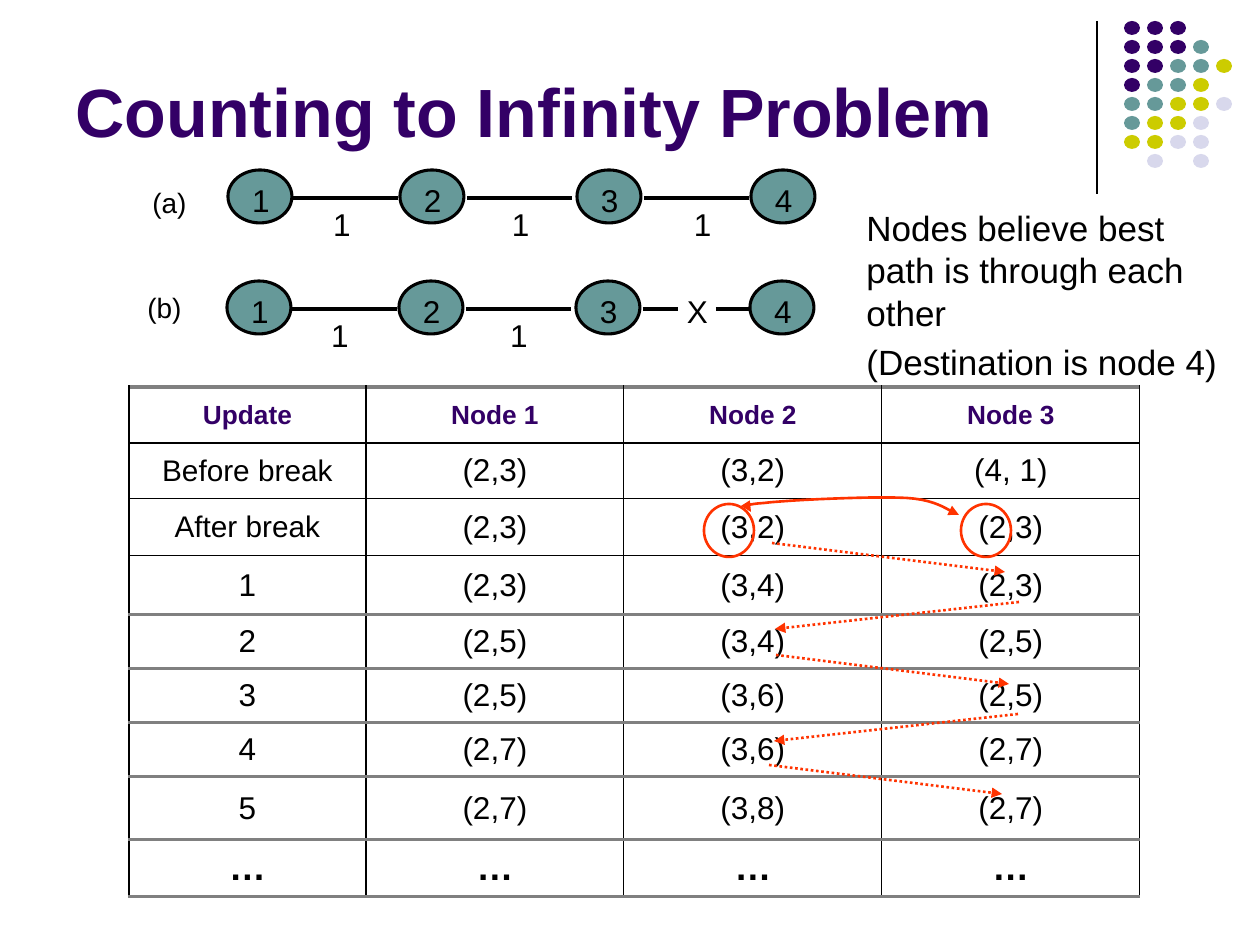
from dataclasses import dataclass
from itertools import chain
from typing import Optional

from lxml import etree
from pptx import Presentation
from pptx import util as u
from pptx.dml.color import RGBColor
from pptx.enum import dml, shapes, text
from pptx.oxml.ns import qn

SCALE = u.Inches(1) / 126
FONT = "Arial"
COLORS = {
    "ink": "000000", "purple": "330066", "teal": "669999", "olive": "CCCC00",
    "lilac": "D8D8EC", "grey": "808080", "red": "FF3300",
}
DOT_COLORS = {"P": "purple", "T": "teal", "Y": "olive", "L": "lilac"}
DOT_ROWS = ["PPP", "PPPT", "PPTTY", "PTTY", "TTYYL", "TYYL", "YYLL", " L L"]

HEADER = ["Update", "Node 1", "Node 2", "Node 3"]
UPDATES = [
    ["Before break", "(2,3)", "(3,2)", "(4, 1)"],
    ["After break", "(2,3)", "(3,2)", "(2,3)"],
    ["1", "(2,3)", "(3,4)", "(2,3)"],
    ["2", "(2,5)", "(3,4)", "(2,5)"],
    ["3", "(2,5)", "(3,6)", "(2,5)"],
    ["4", "(2,7)", "(3,6)", "(2,7)"],
    ["5", "(2,7)", "(3,8)", "(2,7)"],
    ["…"] * 4,
]
COLUMN_WIDTHS = [237, 258, 258, 258]
ROW_HEIGHTS = [56, 56, 57, 59, 54, 54, 54, 63, 55]
THIN, THICK = ("ink", 0.75), ("grey", 2)
ROW_RULES = [THICK] + [THIN] * 3 + [THICK] * 6


@dataclass
class Link:
    """A line between two nodes, from left to right."""
    left: int
    right: int


@dataclass
class Network:
    name: str
    name_at: tuple[int, int]
    left: int
    top: int
    links: list[Link]
    costs: list[int]
    break_at: Optional[int] = None


@dataclass
class Arrow:
    start: tuple[int, int]
    end: tuple[int, int]


NODE_OFFSETS = [0, 172, 349, 523]
NETWORKS = [
    Network("(a)", (140, 179), 228, 170,
            [Link(65, 170), Link(239, 344), Link(416, 521)], [105, 284, 466]),
    Network("(b)", (135, 284), 227, 281,
            [Link(65, 170), Link(239, 344), Link(416, 451), Link(489, 523)],
            [104, 283], 460),
]
ARROWS = [
    Arrow((772, 543), (1005, 572)), Arrow((1019, 602), (775, 629)),
    Arrow((776, 655), (1009, 684)), Arrow((1018, 714), (774, 741)),
    Arrow((769, 765), (1002, 794)),
]
LOOP_START = (751, 512)
LOOP_CURVES = [
    [(745, 508), (737, 505), (764, 503)],
    [(789, 500), (874, 496), (907, 498)],
    [(940, 500), (951, 513), (959, 515)],
]


def px(length: float) -> int:
    return u.Emu(round(length * SCALE))


def color(name: str) -> RGBColor:
    return RGBColor.from_string(COLORS[name])


def set_font(font, size: float, name: str = "ink", bold: bool = False) -> None:
    font.name, font.size, font.bold = FONT, u.Pt(size), bold
    font.color.rgb = color(name)


def set_line(line, name: str, width: float, head: bool = False, tail: bool = False) -> None:
    line.color.rgb = color(name)
    line.width = u.Pt(width)
    for tag, wanted in (("a:headEnd", head), ("a:tailEnd", tail)):
        if wanted:
            etree.SubElement(line._get_or_add_ln(), qn(tag), type="triangle")


def add_line(page, start, end, name: str = "ink", width: float = 1.75, arrow: bool = False) -> None:
    line = page.shapes.add_connector(
        shapes.MSO_CONNECTOR.STRAIGHT, *map(px, (*start, *end)))
    etree.SubElement(line._element.spPr, qn("a:effectLst"))
    if arrow:
        line.line.dash_style = dml.MSO_LINE.ROUND_DOT
    set_line(line.line, name, width, tail=arrow)


def add_ellipse(page, left, top, width, height, fill=None, outline=None, weight=1.75) -> None:
    ellipse = page.shapes.add_shape(
        shapes.MSO_SHAPE.OVAL, *map(px, (left, top, width, height)))
    ellipse.shadow.inherit = False
    if fill:
        ellipse.fill.solid()
        ellipse.fill.fore_color.rgb = color(fill)
    else:
        ellipse.fill.background()
    if outline:
        set_line(ellipse.line, outline, weight)
    else:
        ellipse.line.fill.background()


def add_text(page, left, top, width, height, lines: list[str], size: float, tight: bool = False):
    """Tight boxes have no margins and do not wrap."""
    frame = page.shapes.add_textbox(*map(px, (left, top, width, height))).text_frame
    frame.word_wrap = not tight
    if tight:
        frame.margin_left = frame.margin_right = frame.margin_top = frame.margin_bottom = 0
    frame.text = "\n".join(lines)
    for para in frame.paragraphs:
        set_font(para.font, size)
    return frame


def add_network(page, network: Network) -> None:
    left, top = network.left, network.top
    for number, offset in enumerate(NODE_OFFSETS, 1):
        add_ellipse(page, left + offset, top, 64, 53, "teal", "ink")
        add_text(page, left + offset + 24, top + 11, 18, 38, [str(number)], 18, tight=True)
    for link in network.links:
        add_line(page, (left + link.left, top + 28), (left + link.right, top + 28))
    for offset in network.costs:
        add_text(page, left + offset, top + 35, 18, 38, ["1"], 18, tight=True)
    if network.break_at is not None:
        add_text(page, left + network.break_at, top + 11, 21, 38, ["X"], 18, tight=True)
    add_text(page, *network.name_at, 65, 46, [network.name], 16)


def set_borders(cell, top, bottom) -> None:
    properties = cell._tc.get_or_add_tcPr()
    sides = {"a:lnL": THIN, "a:lnR": THIN, "a:lnT": top, "a:lnB": bottom}
    for index, (tag, (name, width)) in enumerate(sides.items()):
        border = etree.Element(qn(tag), w=str(u.Pt(width)))
        fill = etree.SubElement(border, qn("a:solidFill"))
        etree.SubElement(fill, qn("a:srgbClr"), val=COLORS[name])
        properties.insert(index, border)


def add_updates(page) -> None:
    rows = [HEADER, *UPDATES]
    table = page.shapes.add_table(
        len(rows), len(HEADER), px(129), px(387),
        px(sum(COLUMN_WIDTHS)), px(sum(ROW_HEIGHTS))).table
    table.first_row = table.horz_banding = False
    for column, width in zip(table.columns, COLUMN_WIDTHS):
        column.width = px(width)
    for r, (row, height) in enumerate(zip(rows, ROW_HEIGHTS)):
        table.rows[r].height = px(height)
        for c, value in enumerate(row):
            cell = table.cell(r, c)
            cell.text = value
            cell.vertical_anchor = text.MSO_ANCHOR.MIDDLE
            cell.fill.background()
            set_borders(cell, ROW_RULES[r], ROW_RULES[r + 1])
            para = cell.text_frame.paragraphs[0]
            para.alignment = text.PP_ALIGN.CENTER
            if r == 0:
                set_font(para.font, 15, "purple", True)
            elif value == "…":
                set_font(para.font, 21, bold=True)
            else:
                set_font(para.font, 17 if value.endswith("break") else 18)


def curve_points(start, curve, steps: int = 12) -> list[tuple[int, int]]:
    """Points along a cubic Bézier curve, after its start."""
    points = []
    for step in range(1, steps + 1):
        t = step / steps
        weights = ((1 - t) ** 3, 3 * t * (1 - t) ** 2, 3 * t * t * (1 - t), t ** 3)
        points.append(tuple(
            px(sum(w * p[axis] for w, p in zip(weights, [start, *curve]))) for axis in (0, 1)))
    return points


def add_loop(page) -> None:
    starts = [LOOP_START] + [curve[-1] for curve in LOOP_CURVES]
    points = chain.from_iterable(map(curve_points, starts, LOOP_CURVES))
    builder = page.shapes.build_freeform(*map(px, LOOP_START))
    builder.add_line_segments(points, close=False)
    loop = builder.convert_to_shape()
    loop.shadow.inherit = False
    loop.fill.background()
    set_line(loop.line, "red", 1.5, head=True, tail=True)


def add_title(page) -> None:
    title = page.shapes.title
    title.left, title.top, title.width, title.height = map(px, (63, 16, 1040, 141))
    frame = title.text_frame
    frame.text = "Counting to Infinity Problem"
    frame.auto_size = text.MSO_AUTO_SIZE.NONE
    frame.vertical_anchor = text.MSO_ANCHOR.BOTTOM
    frame.paragraphs[0].alignment = text.PP_ALIGN.LEFT
    set_font(frame.paragraphs[0].font, 39, "purple", True)


def main() -> None:
    deck = Presentation()
    deck.slide_width, deck.slide_height = px(1260), px(945)
    page = deck.slides.add_slide(deck.slide_layouts[5])
    add_title(page)
    add_line(page, (1097, 21), (1097, 194), width=0.75)
    for r, row in enumerate(DOT_ROWS):
        for c, dot in enumerate(row):
            if dot in DOT_COLORS:
                add_ellipse(page, 1124 + 23 * c, 21 + 19 * r, 16, 14, DOT_COLORS[dot])
    for network in NETWORKS:
        add_network(page, network)
    add_updates(page)
    note = add_text(page, 854, 195, 381, 189, [
        "Nodes believe best path is through each other", "(Destination is node 4)"], 20)
    note.margin_top = px(12)
    note.paragraphs[1].space_before = u.Pt(4)
    for left in (704, 961):
        add_ellipse(page, left, 504, 50, 53, outline="red", weight=1.5)
    add_loop(page)
    for arrow in ARROWS:
        add_line(page, arrow.start, arrow.end, "red", 1.5, arrow=True)
    deck.save("out.pptx")


if __name__ == "__main__":
    main()
